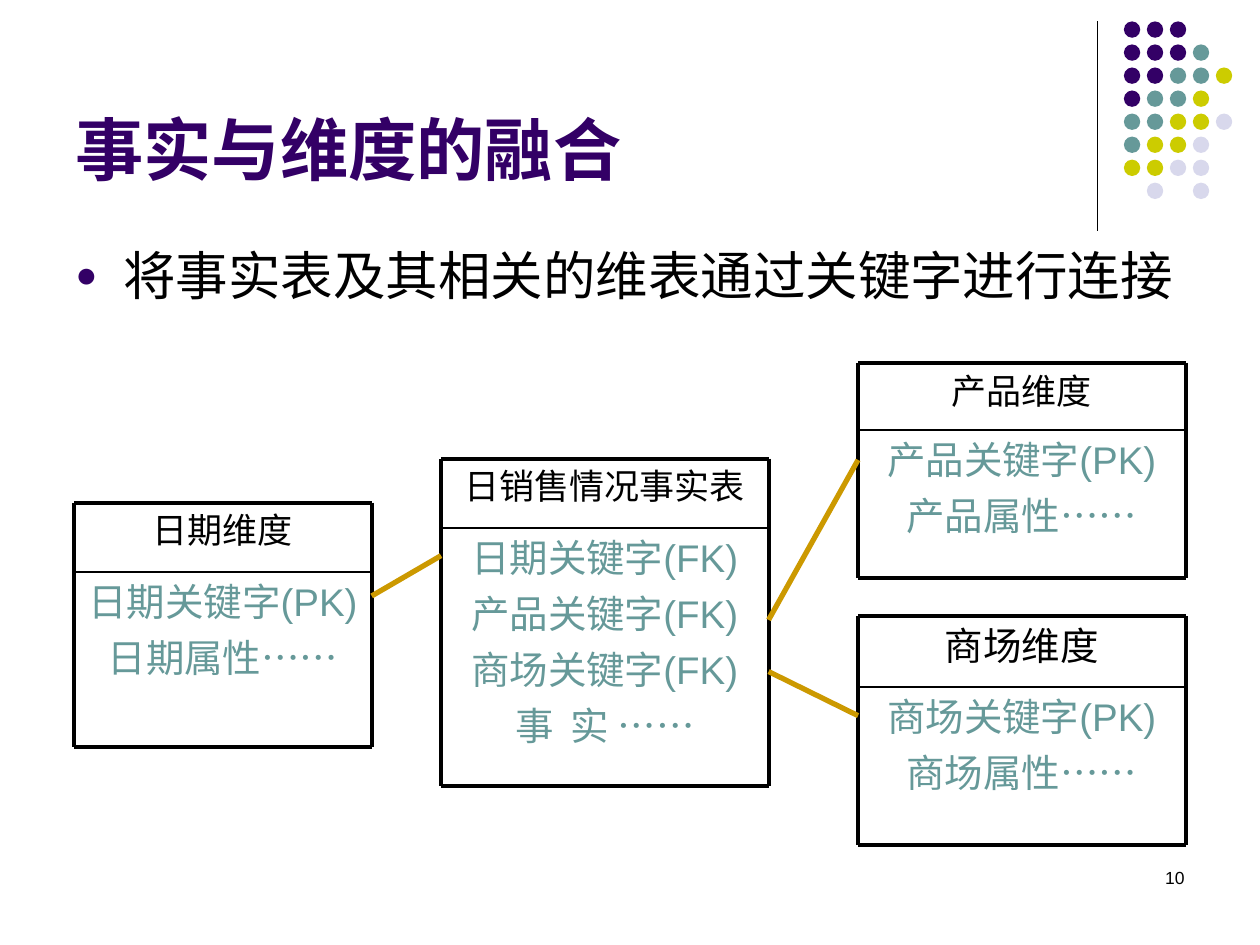
from lxml.etree import SubElement
from pptx import Presentation
from pptx.dml.color import RGBColor
from pptx.enum.lang import MSO_LANGUAGE_ID as Language
from pptx.enum.shapes import MSO_CONNECTOR as Connector, MSO_SHAPE as Shape
from pptx.enum.text import MSO_ANCHOR as Anchor, PP_ALIGN as Align
from pptx.oxml.ns import qn
from pptx.util import Pt

SCALE = 9144
BLACK = RGBColor(0x00, 0x00, 0x00)
PURPLE = RGBColor(0x33, 0x00, 0x66)
TEAL = RGBColor(0x66, 0x99, 0x99)
LIME = RGBColor(0xCC, 0xCC, 0x00)
LAVENDER = RGBColor(0xD8, 0xD8, 0xEC)
GOLD = RGBColor(0xCC, 0x99, 0x00)

DOT_COLOURS = {"P": PURPLE, "T": TEAL, "L": LIME, "V": LAVENDER}
DOT_ROWS = ("PPP", "PPPT", "PPTTL", "PTTL", "TTLLV", "TLLV", "LLVV", " V V")

ENTITIES = (
    ((59, 399, 236, 194), 55, "日期维度", 20, ("日期关键字(PK)", "日期属性……")),
    ((350, 364, 260, 260), 55, "日销售情况事实表", 20,
     ("日期关键字(FK)", "产品关键字(FK)", "商场关键字(FK)", "事  实 ……")),
    ((681, 288, 260, 171), 53, "产品维度", 20, ("产品关键字(PK)", "产品属性……")),
    ((681, 489, 260, 182), 56, "商场维度", 22, ("商场关键字(PK)", "商场属性……")),
)
LINKS = ((295, 473, 350, 441), (610, 492, 681, 365), (610, 533, 681, 568))


def px(*values):
    return [round(value * SCALE) for value in values]


def add_text(page, box, *lines, size, colour=BLACK, bold=False,
             align=Align.LEFT, anchor=Anchor.TOP, before=0):
    frame = page.shapes.add_textbox(*px(*box)).text_frame
    frame.word_wrap = True
    frame.vertical_anchor = anchor
    for index, line in enumerate(lines):
        para = frame.add_paragraph() if index else frame.paragraphs[0]
        para.alignment = align
        para.space_before = Pt(before)
        span = para.add_run()
        span.text = line
        span.font.name = "Arial"
        span.font.size = Pt(size)
        span.font.bold = bold
        span.font.color.rgb = colour
        span.font.language_id = Language.SIMPLIFIED_CHINESE
    return frame


def add_line(page, ends, width, colour=BLACK):
    line = page.shapes.add_connector(Connector.STRAIGHT, *px(*ends))
    line.line.color.rgb = colour
    line.line.width = Pt(width)
    SubElement(line._element.spPr, qn("a:effectLst"))


def add_bullet(para, indent):
    properties = para._p.get_or_add_pPr()
    properties.set("marL", str(indent))
    properties.set("indent", str(-indent))
    colour = SubElement(properties, qn("a:buClr"))
    SubElement(colour, qn("a:srgbClr"), val=str(PURPLE))
    SubElement(properties, qn("a:buSzPct"), val="70000")
    SubElement(properties, qn("a:buFont"), typeface="Arial")
    SubElement(properties, qn("a:buChar"), char="●")


def add_dots(page, box):
    left, top, width, height = box
    diameter = 13
    across = (width - diameter) / 4
    down = (height - diameter) / (len(DOT_ROWS) - 1)
    group = page.shapes.add_group_shape()
    for row, pattern in enumerate(DOT_ROWS):
        for column, key in enumerate(pattern):
            if key not in DOT_COLOURS:
                continue
            dot = group.shapes.add_shape(Shape.OVAL, *px(
                left + column * across, top + row * down, diameter, diameter))
            dot.shadow.inherit = False
            dot.fill.solid()
            dot.fill.fore_color.rgb = DOT_COLOURS[key]
            dot.line.fill.background()


def add_heading(page, box):
    add_text(page, box, "事实与维度的融合", size=39, colour=PURPLE,
             bold=True, anchor=Anchor.BOTTOM)


def add_body(page, box):
    frame = add_text(page, box, "将事实表及其相关的维表通过关键字进行连接",
                     size=30, before=7.5)
    add_bullet(frame.paragraphs[0], px(38)[0])


def add_entity(page, box, header, name, name_size, fields):
    left, top, width, height = box
    right, bottom, divider = left + width, top + height, top + header
    add_text(page, (left, divider, width, height - header), *fields,
             size=22, colour=TEAL, align=Align.CENTER, before=5.5)
    add_text(page, (left, top, width, header), name,
             size=name_size, align=Align.CENTER, before=name_size / 4)
    for y, weight in ((top, 2.25), (divider, 1), (bottom, 2.25)):
        add_line(page, (left, y, right, y), weight)
    for x in (left, right):
        add_line(page, (x, top, x, bottom), 2.25)


def main():
    deck = Presentation()
    deck.slide_width, deck.slide_height = px(1000, 750)
    page = deck.slides.add_slide(deck.slide_layouts[6])
    add_line(page, (871, 17, 871, 183), 0.75)
    add_dots(page, (892, 17, 86, 141))
    add_text(page, (717, 683, 233, 50), "10", size=10, align=Align.RIGHT)
    add_heading(page, (50, 13, 825, 142))
    add_body(page, (50, 188, 900, 482))
    for entity in ENTITIES:
        add_entity(page, *entity)
    for ends in LINKS:
        add_line(page, ends, 3, GOLD)
    deck.save("out.pptx")


if __name__ == "__main__":
    main()
